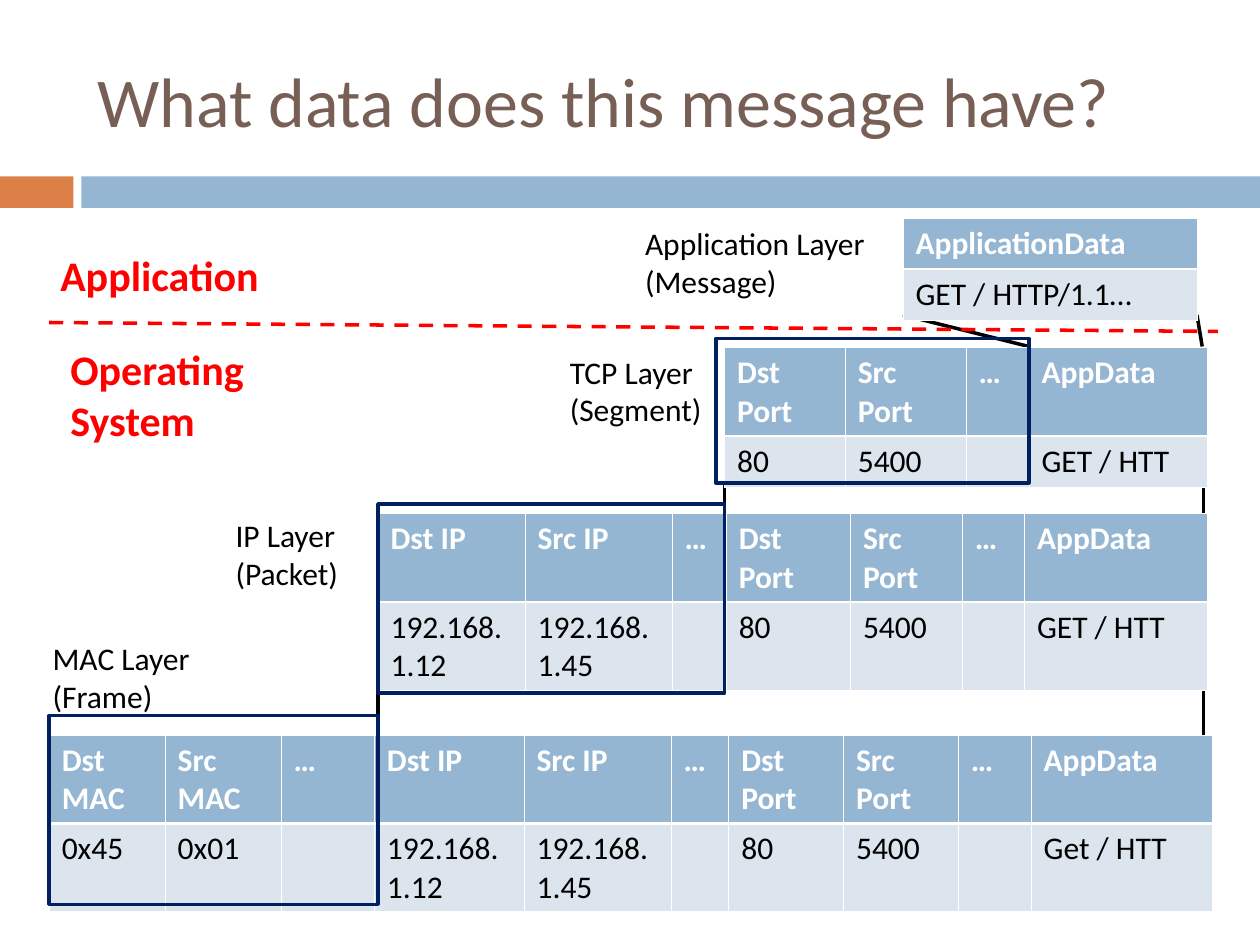
import pptx
import pptx.dml.color
import pptx.enum.dml
import pptx.enum.shapes
import pptx.enum.text
import pptx.oxml
import pptx.oxml.ns
import pptx.util

Pt = pptx.util.Pt
RGBColor = pptx.dml.color.RGBColor
ORANGE = RGBColor(0xDD, 0x80, 0x47)
BLUE = RGBColor(0x94, 0xB6, 0xD2)
PALE = RGBColor(0xDC, 0xE5, 0xEE)
BROWN = RGBColor(0x77, 0x5F, 0x55)
NAVY = RGBColor(0x00, 0x20, 0x60)
RED = RGBColor(0xFF, 0x00, 0x00)
BLACK = RGBColor(0x00, 0x00, 0x00)
WHITE = RGBColor(0xFF, 0xFF, 0xFF)
FONT = "Calibri"
RECTANGLE = pptx.enum.shapes.MSO_SHAPE.RECTANGLE
STRAIGHT = pptx.enum.shapes.MSO_CONNECTOR.STRAIGHT


def add_span(para, text, size, color, bold=False):
    span = para.add_run()
    span.text = text
    span.font.name = FONT
    span.font.size = Pt(size)
    span.font.bold = bold
    span.font.color.rgb = color


def add_line(x1, y1, x2, y2, color):
    line = page.shapes.add_connector(STRAIGHT, Pt(x1), Pt(y1), Pt(x2), Pt(y2))
    line.line.color.rgb = color
    line.line.width = Pt(2)
    line._element.spPr.append(pptx.oxml.parse_xml(
        f'<a:effectLst {pptx.oxml.ns.nsdecls("a")}/>'))
    return line


deck = pptx.Presentation()
deck.slide_width, deck.slide_height = Pt(720), Pt(540)
page = deck.slides.add_slide(deck.slide_layouts[5])

# Title and the two bars under it
title = page.shapes.title
title.left, title.top, title.width, title.height = Pt(48.5), Pt(18), Pt(642), Pt(78)
title.text_frame.vertical_anchor = pptx.enum.text.MSO_ANCHOR.MIDDLE
para = title.text_frame.paragraphs[0]
para.alignment = pptx.enum.text.PP_ALIGN.LEFT
add_span(para, "What data does this message have?", 40, BROWN)

for left, width, color in ((0, 42, ORANGE), (46.5, 673.5, BLUE)):
    bar = page.shapes.add_shape(RECTANGLE, Pt(left), Pt(100.8), Pt(width), Pt(18))
    bar.shadow.inherit = False
    bar.fill.solid()
    bar.fill.fore_color.rgb = color
    bar.line.fill.background()

# Layer labels and the two zone names
labels = (
    (361.5, 124.6, 140.5, 50.5, ("Application Layer", "(Message)"), False),
    (318.5, 198, 90, 50.5, ("TCP Layer", "(Segment)"), False),
    (127.5, 291.6, 74, 50.5, ("IP Layer", "(Packet)"), False),
    (23, 361.5, 93.5, 50.5, ("MAC Layer", "(Frame)"), False),
    (27.4, 139, 150, 36, ("Application",), True),
    (33.1, 193, 150, 65, ("Operating System",), True),
)
for left, top, width, height, lines, is_zone in labels:
    box = page.shapes.add_textbox(Pt(left), Pt(top), Pt(width), Pt(height))
    box.text_frame.word_wrap = is_zone
    for index, text in enumerate(lines):
        para = box.text_frame.paragraphs[0] if index == 0 else box.text_frame.add_paragraph()
        add_span(para, text, 24 if is_zone else 18, RED if is_zone else BLACK, is_zone)

# Lines that carry each payload down to the next layer
for ends in ((516, 180, 588, 198), (684, 180, 687, 198),
             (414, 276, 414, 300), (687.6, 273.6, 687.6, 304),
             (216, 386.5, 216, 426), (687.6, 386.5, 687.6, 426)):
    add_line(*ends, BLACK)

# One table a layer; each column is (width, heading, value)
layers = (
    (516, 124.6, (29.2, 29.2), ((168, "ApplicationData", "GET / HTTP/1.1…"),)),
    (414, 198.6, (50.5, 29.2), (
        (69, "Dst Port", "80"), (69, "Src Port", "5400"), (36, "…", ""),
        (102, "AppData", "GET / HTT"))),
    (216, 293.5, (50.5, 50.5), (
        (84, "Dst IP", "192.168.1.12"), (84, "Src IP", "192.168.1.45"), (31, "…", ""),
        (71, "Dst Port", "80"), (64, "Src Port", "5400"), (35.5, "…", ""),
        (104.5, "AppData", "GET / HTT"))),
    (28.1, 420, (50.5, 50.5), (
        (66.3, "Dst MAC", "0x45"), (66.3, "Src MAC", "0x01"), (53.3, "…", ""),
        (85.5, "Dst IP", "192.168.1.12"), (84, "Src IP", "192.168.1.45"), (33, "…", ""),
        (65.6, "Dst Port", "80"), (65.6, "Src Port", "5400"), (41.6, "…", ""),
        (103.5, "AppData", "Get / HTT"))),
)
for left, top, heights, columns in layers:
    width = sum(column[0] for column in columns)
    table = page.shapes.add_table(2, len(columns), Pt(left), Pt(top),
                                  Pt(width), Pt(sum(heights))).table
    for row, height in enumerate(heights):
        table.rows[row].height = Pt(height)
    for col, (width, *texts) in enumerate(columns):
        table.columns[col].width = Pt(width)
        for row, text in enumerate(texts):
            cell = table.cell(row, col)
            properties = cell._tc.get_or_add_tcPr()
            thick_side = "B" if row == 0 else "T"
            for side in "LRTB":
                weight = Pt(1.47 if side == thick_side else 0.45)
                properties.append(pptx.oxml.parse_xml(
                    f'<a:ln{side} {pptx.oxml.ns.nsdecls("a")} w="{weight}"><a:solidFill>'
                    f'<a:srgbClr val="{WHITE}"/></a:solidFill></a:ln{side}>'))
            cell.fill.solid()
            cell.fill.fore_color.rgb = BLUE if row == 0 else PALE
            para = cell.text_frame.paragraphs[0]
            para.font.size = Pt(18)
            if text:
                add_span(para, text, 18, WHITE if row == 0 else BLACK, row == 0)

# Frames around the header that each layer adds
for left, top, width, height in ((409, 193.5, 179, 82.5), (216, 288, 198, 108),
                                 (28.1, 408.8, 187.9, 108)):
    frame = page.shapes.add_shape(RECTANGLE, Pt(left), Pt(top), Pt(width), Pt(height))
    frame.shadow.inherit = False
    frame.fill.background()
    frame.line.color.rgb = NAVY
    frame.line.width = Pt(2)

boundary = add_line(28.1, 184.3, 696, 189.4, RED)
boundary.line.dash_style = pptx.enum.dml.MSO_LINE.DASH

deck.save("out.pptx")
